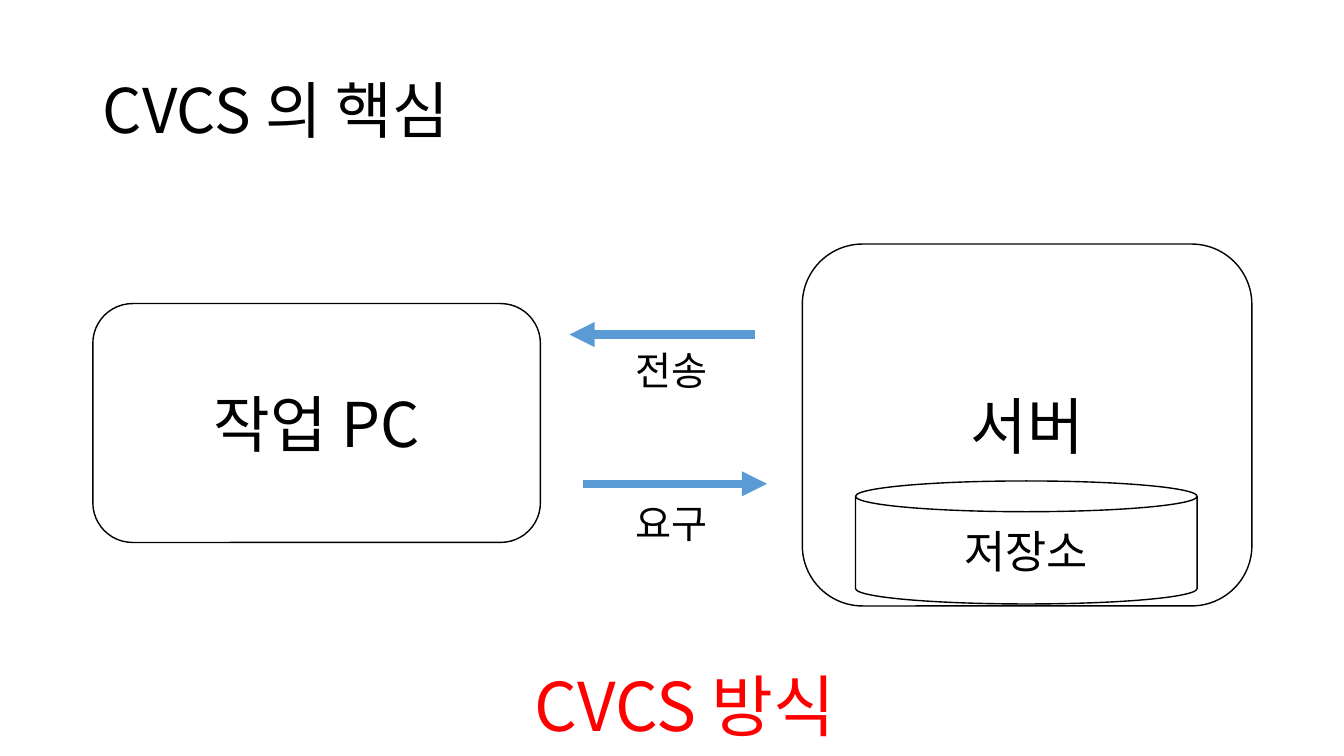
from dataclasses import dataclass

from lxml.etree import SubElement
from pptx import Presentation
from pptx.dml.color import RGBColor
from pptx.enum.shapes import MSO_CONNECTOR, MSO_SHAPE
from pptx.enum.text import MSO_ANCHOR, PP_ALIGN
from pptx.oxml.ns import qn
from pptx.slide import Slide
from pptx.text.text import TextFrame
from pptx.util import Cm, Pt


@dataclass(frozen=True)
class Theme:
    font: str = "Noto Sans CJK KR"
    ink: RGBColor = RGBColor(0x00, 0x00, 0x00)
    paper: RGBColor = RGBColor(0xFF, 0xFF, 0xFF)
    arrow: RGBColor = RGBColor(0x5B, 0x9B, 0xD5)
    accent: RGBColor = RGBColor(0xFF, 0x00, 0x00)
    heading: int = 44
    store: int = 32
    label: int = 28
    caption: int = 48
    outline: int = 1
    arrow_width: int = 6


THEME = Theme()


@dataclass(frozen=True)
class Area:
    left: float
    top: float
    width: float
    height: float

    def lengths(self) -> tuple[Cm, Cm, Cm, Cm]:
        return Cm(self.left), Cm(self.top), Cm(self.width), Cm(self.height)


@dataclass(frozen=True)
class Node:
    text: str
    kind: MSO_SHAPE
    area: Area
    size: int


@dataclass(frozen=True)
class Arrow:
    start: float
    end: float
    y: float


@dataclass(frozen=True)
class Label:
    text: str
    area: Area
    size: int
    color: RGBColor


NODES = (
    Node("서버", MSO_SHAPE.ROUNDED_RECTANGLE, Area(20.22, 6.15, 11.33, 9.12), THEME.heading),
    Node("작업 PC", MSO_SHAPE.ROUNDED_RECTANGLE, Area(2.34, 7.65, 11.28, 6.02), THEME.heading),
    Node("저장소", MSO_SHAPE.CAN, Area(21.56, 12.12, 8.61, 3.1), THEME.store),
)
ARROWS = (Arrow(14.68, 19.33, 12.19), Arrow(19.02, 14.35, 8.43))
LABELS = (
    Label("요구", Area(15.16, 12.45, 3.53, 1.45), THEME.label, THEME.ink),
    Label("전송", Area(15.16, 8.59, 3.53, 1.45), THEME.label, THEME.ink),
    Label("CVCS 방식", Area(5.11, 16.61, 24.31, 2.31), THEME.caption, THEME.accent),
)


def write(frame: TextFrame, text: str, size: int, color: RGBColor, align: PP_ALIGN) -> None:
    frame.word_wrap = True
    frame.text = text
    para = frame.paragraphs[0]
    para.alignment = align
    for span in para.runs:
        span.font.size = Pt(size)
        span.font.name = THEME.font
        span.font.color.rgb = color
        # Hangul takes its typeface from the East Asian slot
        SubElement(span.font._element, qn("a:ea")).set("typeface", THEME.font)


def add_title(slide: Slide, text: str, area: Area) -> None:
    title = slide.shapes.title
    title.left, title.top, title.width, title.height = area.lengths()
    title.text_frame.vertical_anchor = MSO_ANCHOR.MIDDLE
    write(title.text_frame, text, THEME.heading, THEME.ink, PP_ALIGN.LEFT)
    title.text_frame.paragraphs[0].line_spacing = 0.9


def add_node(slide: Slide, node: Node) -> None:
    shape = slide.shapes.add_shape(node.kind, *node.area.lengths())
    shape.shadow.inherit = False
    shape.fill.solid()
    shape.fill.fore_color.rgb = THEME.paper
    shape.line.color.rgb = THEME.ink
    shape.line.width = Pt(THEME.outline)
    shape.text_frame.vertical_anchor = MSO_ANCHOR.MIDDLE
    write(shape.text_frame, node.text, node.size, THEME.ink, PP_ALIGN.CENTER)


def add_arrow(slide: Slide, arrow: Arrow) -> None:
    y = Cm(arrow.y)
    connector = slide.shapes.add_connector(
        MSO_CONNECTOR.STRAIGHT, Cm(arrow.start), y, Cm(arrow.end), y
    )
    connector.line.color.rgb = THEME.arrow
    connector.line.width = Pt(THEME.arrow_width)
    SubElement(connector.line._get_or_add_ln(), qn("a:tailEnd")).set("type", "triangle")
    SubElement(connector._element.spPr, qn("a:effectLst"))


def add_label(slide: Slide, label: Label) -> None:
    box = slide.shapes.add_textbox(*label.area.lengths())
    write(box.text_frame, label.text, label.size, label.color, PP_ALIGN.CENTER)


def main() -> None:
    deck = Presentation()
    deck.slide_width, deck.slide_height = Cm(33.87), Cm(19.05)
    page = deck.slides.add_slide(deck.slide_layouts[5])
    page.background.fill.solid()
    page.background.fill.fore_color.rgb = THEME.paper

    # Heading
    add_title(page, "CVCS 의 핵심", Area(2.34, 1.02, 29.21, 3.68))

    # Work PC, server and its repository
    for node in NODES:
        add_node(page, node)

    # Traffic between them, with labels and the closing caption
    for arrow in ARROWS:
        add_arrow(page, arrow)
    for label in LABELS:
        add_label(page, label)

    deck.save("out.pptx")


if __name__ == "__main__":
    main()
